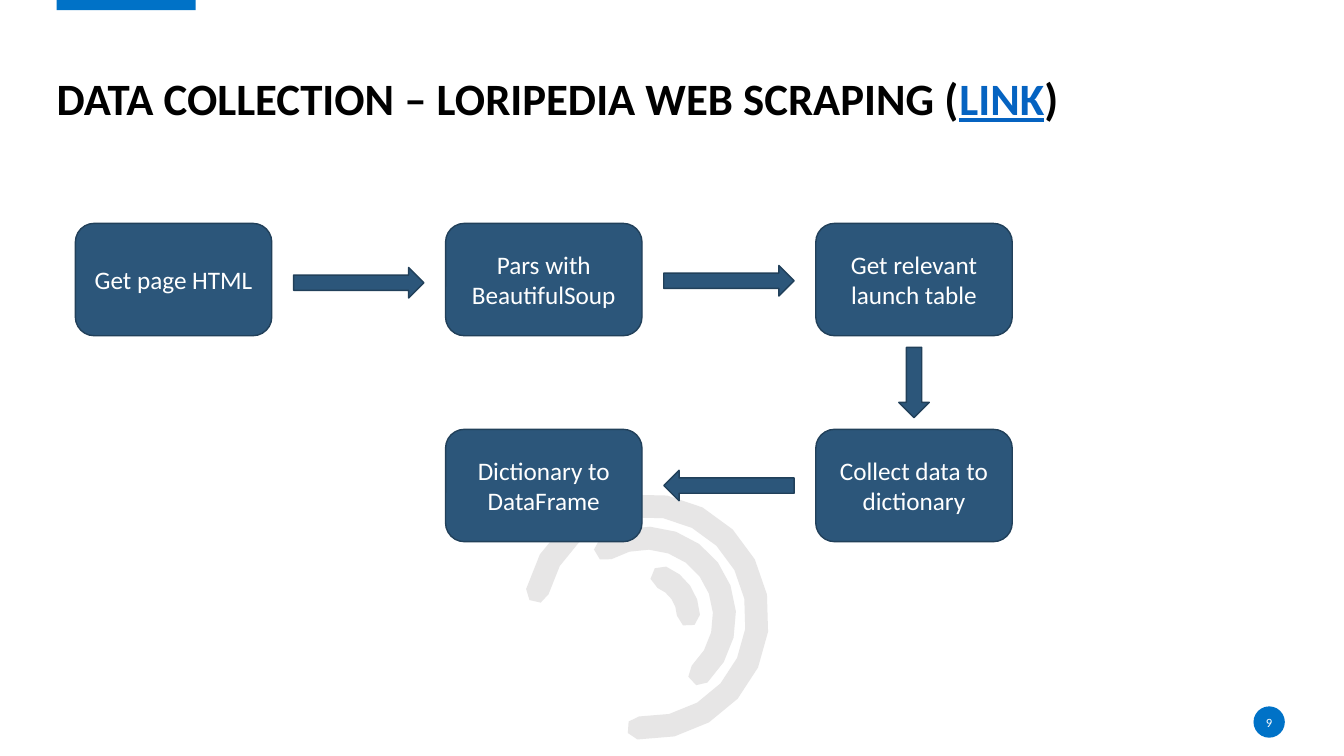
import math

from pptx import Presentation
from pptx import util as u
from pptx.dml.color import RGBColor
from pptx.enum import shapes, text

ACCENT = RGBColor(0x00, 0x72, 0xC7)
NAVY = RGBColor(0x2C, 0x56, 0x7A)
NAVY_EDGE = RGBColor(0x21, 0x40, 0x5A)
LINK_BLUE = RGBColor(0x05, 0x63, 0xC1)
PALE_GREY = RGBColor(0xE7, 0xE6, 0xE6)
BLACK = RGBColor(0, 0, 0)
WHITE = RGBColor(0xFF, 0xFF, 0xFF)
FONT = "Calibri"

# Label, column and row of each step, in reading order of the flow
STEPS = [
    ("Get page HTML", 0, 0),
    ("Pars with BeautifulSoup", 1, 0),
    ("Get relevant launch table", 2, 0),
    ("Collect data to dictionary", 2, 1),
    ("Dictionary to DataFrame", 1, 1),
]
STEP_WIDTH, STEP_HEIGHT = u.Cm(4.95), u.Cm(2.83)
COLUMN_PITCH, ROW_PITCH = u.Cm(9.33), u.Cm(5.19)
ARROW_THICKNESS = u.Cm(0.77)
ARROW_SHARE = 0.75
# Distance in cm by which each arrow sits below the middle of its gap
ARROW_DROPS = [0.08, 0.03, 0, 0]

# Mid radius in cm, then start and end angle in degrees clockwise from the top
SWIRL_ARCS = [(2.81, -77, 184), (1.98, -31, 137), (1.07, 22, 88)]
SWIRL_HALF_WIDTH = 0.29
ARC_STEP, CAP_STEP = 18, 60


def style_run(run, size, color, bold=False):
    run.font.name = FONT
    run.font.size = u.Pt(size)
    run.font.bold = bold
    run.font.color.rgb = color


def paint(shape, fill, edge=None):
    shape.shadow.inherit = False
    shape.fill.solid()
    shape.fill.fore_color.rgb = fill
    if edge is None:
        shape.line.fill.background()
    else:
        shape.line.color.rgb = edge
        shape.line.width = u.Pt(1)


def add_filled(slide, kind, box, fill, edge=None):
    shape = slide.shapes.add_shape(kind, *box)
    paint(shape, fill, edge)
    return shape


def set_centred_text(shape, label, size):
    frame = shape.text_frame
    frame.word_wrap = True
    frame.vertical_anchor = text.MSO_ANCHOR.MIDDLE
    frame.text = label
    paragraph = frame.paragraphs[0]
    paragraph.alignment = text.PP_ALIGN.CENTER
    style_run(paragraph.runs[0], size, WHITE)


def clear_margins(frame):
    frame.margin_left = frame.margin_right = 0
    frame.margin_top = frame.margin_bottom = 0


def polar(center, radius, degrees):
    angle = math.radians(degrees)
    return (center[0] + radius * math.sin(angle),
            center[1] - radius * math.cos(angle))


def sweep(center, radius, start, end, step):
    count = math.ceil(abs(end - start) / step)
    return [polar(center, radius, start + (end - start) * index / count)
            for index in range(count)]


def add_swirl(slide, center_x, center_y):
    """Draw concentric round-ended arcs about a centre."""
    center = (center_x, center_y)
    half = u.Cm(SWIRL_HALF_WIDTH)
    for radius_cm, start, end in SWIRL_ARCS:
        radius = u.Cm(radius_cm)
        start_cap = polar(center, radius, start)
        end_cap = polar(center, radius, end)
        outline = (
            sweep(center, radius + half, start, end, ARC_STEP)
            + sweep(end_cap, half, end, end + 180, CAP_STEP)
            + sweep(center, radius - half, end, start, ARC_STEP)
            + sweep(start_cap, half, start + 180, start + 360, CAP_STEP)
        )
        builder = slide.shapes.build_freeform(*outline[0])
        builder.add_line_segments(outline[1:], close=True)
        paint(builder.convert_to_shape(), PALE_GREY)


def add_title(slide, left, top, width, height):
    title = slide.shapes.title
    title.left, title.top, title.width, title.height = left, top, width, height
    frame = title.text_frame
    clear_margins(frame)
    frame.margin_bottom = u.Cm(1.4)
    frame.word_wrap = True
    frame.auto_size = text.MSO_AUTO_SIZE.NONE
    frame.vertical_anchor = text.MSO_ANCHOR.MIDDLE
    paragraph = frame.paragraphs[0]
    paragraph.alignment = text.PP_ALIGN.LEFT
    paragraph.line_spacing = 0.9
    for part, color in (("DATA COLLECTION – LORIPEDIA WEB SCRAPING (", BLACK),
                        ("LINK", LINK_BLUE), (")", BLACK)):
        run = paragraph.add_run()
        run.text = part
        style_run(run, 32, color, bold=True)
        run.font.underline = color == LINK_BLUE


def add_page_number(slide, left, top, diameter):
    add_filled(slide, shapes.MSO_SHAPE.OVAL,
               (left, top, diameter, diameter), ACCENT)
    height = u.Cm(0.51)
    number = slide.shapes.add_textbox(left, top + (diameter - height) // 2,
                                      diameter, height)
    clear_margins(number.text_frame)
    set_centred_text(number, "9", 9)


def add_flow_arrow(slide, source, target, drop):
    """Place an arrow in the gap between two neighbouring steps."""
    across = target.left - source.left
    down = target.top - source.top
    gap = abs(across) - STEP_WIDTH if across else abs(down) - STEP_HEIGHT
    length = int(gap * ARROW_SHARE)
    center_x = (source.left + target.left + STEP_WIDTH) // 2
    center_y = (source.top + target.top + STEP_HEIGHT) // 2 + drop
    box = (center_x - length // 2, center_y - ARROW_THICKNESS // 2,
           length, ARROW_THICKNESS)
    arrow = add_filled(slide, shapes.MSO_SHAPE.RIGHT_ARROW, box, NAVY, NAVY_EDGE)
    arrow.rotation = math.degrees(math.atan2(down, across))


def add_flow(slide, left, top):
    steps = []
    for label, column, row in STEPS:
        box = (left + column * COLUMN_PITCH, top + row * ROW_PITCH,
               STEP_WIDTH, STEP_HEIGHT)
        step = add_filled(slide, shapes.MSO_SHAPE.ROUNDED_RECTANGLE,
                          box, NAVY, NAVY_EDGE)
        set_centred_text(step, label, 18)
        steps.append(step)
    for source, target, drop in zip(steps, steps[1:], ARROW_DROPS):
        add_flow_arrow(slide, source, target, u.Cm(drop))


def main():
    presentation = Presentation()
    presentation.slide_width = u.Cm(33.87)
    presentation.slide_height = u.Cm(19.05)
    slide = presentation.slides.add_slide(presentation.slide_layouts[5])
    margin = u.Cm(1.43)
    add_filled(slide, shapes.MSO_SHAPE.RECTANGLE,
               (margin, 0, u.Cm(3.5), u.Cm(0.26)), ACCENT)
    add_swirl(slide, u.Cm(16.28), u.Cm(15.54))
    add_title(slide, margin, u.Cm(1.4), u.Cm(28.83), u.Cm(3.68))
    add_page_number(slide, u.Cm(31.59), u.Cm(17.8), u.Cm(0.79))
    add_flow(slide, u.Cm(1.9), u.Cm(5.63))
    presentation.save("out.pptx")


if __name__ == "__main__":
    main()
